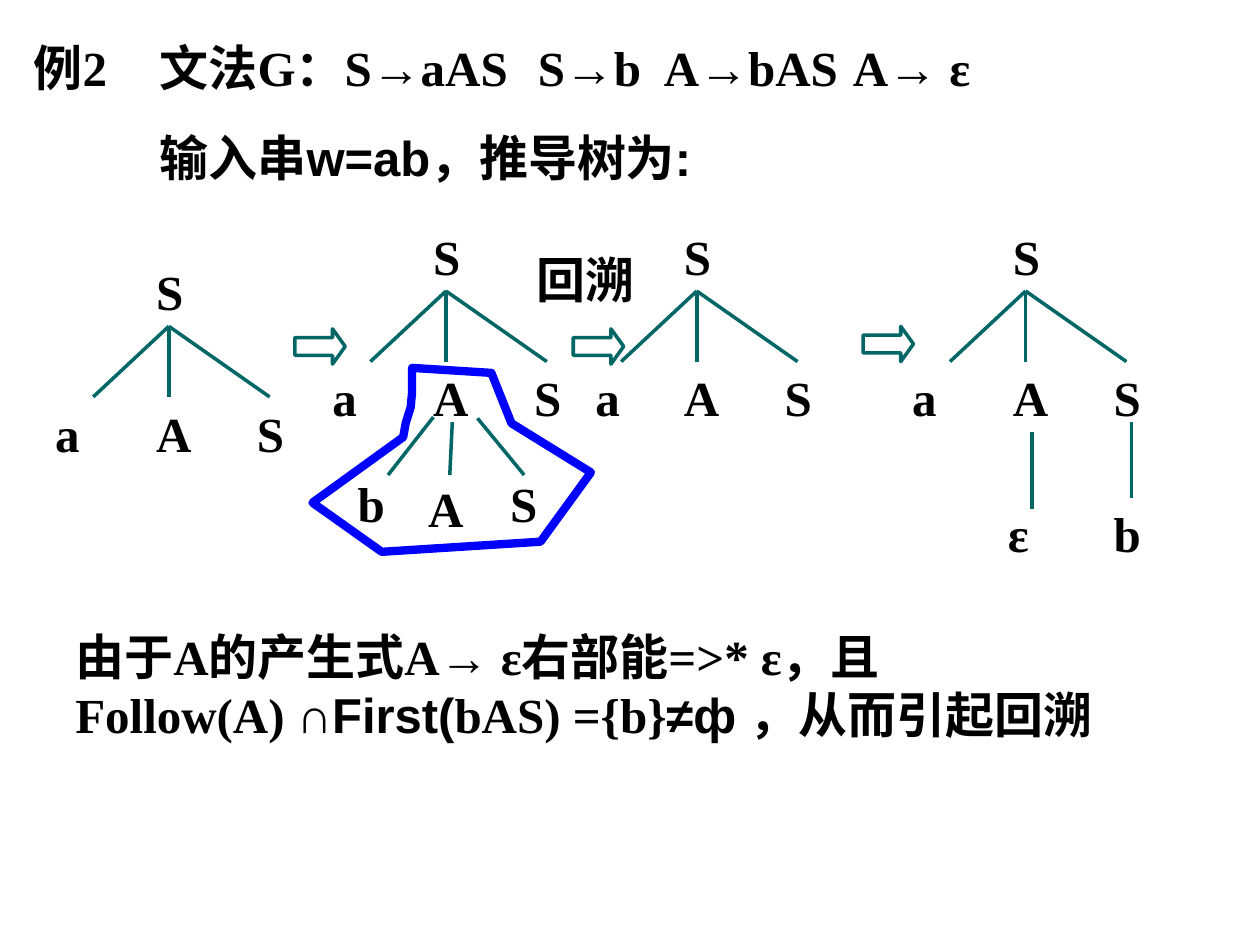
from lxml import etree
from pptx import Presentation
from pptx.dml.color import RGBColor
from pptx.enum.shapes import MSO_CONNECTOR, MSO_SHAPE
from pptx.enum.text import PP_ALIGN
from pptx.oxml.ns import qn
from pptx.util import Inches, Pt

STRAIGHT = MSO_CONNECTOR.STRAIGHT
RIGHT_ARROW = MSO_SHAPE.RIGHT_ARROW
LEFT, JUSTIFY = PP_ALIGN.LEFT, PP_ALIGN.JUSTIFY
SERIF, SANS = "Times New Roman", "Arial"
BLACK, TEAL, BLUE = "000000", "006666", "0000FF"
COL = 0.8      # distance between sibling nodes
ROW = 0.56     # height of a node row and of a branch row
NODE_W, NODE_H = 0.6, 0.84
APEX_X = 0.2   # branches start this far inside a node's box


def rgb(value):
    return RGBColor.from_string(value)


def add_tabs(p, count=8):
    """Set left tab stops one inch apart."""
    tabs = etree.SubElement(p._p.get_or_add_pPr(), qn("a:tabLst"))
    for i in range(count):
        etree.SubElement(tabs, qn("a:tab"), pos=str(Inches(i)), algn="l")


def add_text(slide, paragraphs, x, y, w, h, align=LEFT, hanging=0, gap=0):
    """Add a text box; each paragraph is a list of (text, font) runs."""
    tf = slide.shapes.add_textbox(Inches(x), Inches(y), Inches(w), Inches(h)).text_frame
    tf.word_wrap = True
    for i, runs in enumerate(paragraphs):
        p = tf.paragraphs[0] if i == 0 else tf.add_paragraph()
        p.alignment = align
        if i and gap:
            p.space_before = Pt(gap)
        if hanging:
            pPr = p._p.get_or_add_pPr()
            pPr.set("marL", str(Inches(hanging)))
            pPr.set("indent", str(-Inches(hanging)))
            add_tabs(p)
        for text, font in runs:
            r = p.add_run()
            r.text = text
            r.font.name, r.font.size, r.font.bold = font, Pt(28), True
            r.font.color.rgb = rgb(BLACK)


def add_node(slide, label, x, y, w=NODE_W):
    add_text(slide, [[(label, SERIF)]], x, y, w, NODE_H, align=JUSTIFY)


def add_branch(slide, x1, y1, x2, y2):
    line = slide.shapes.add_connector(STRAIGHT, Inches(x1), Inches(y1), Inches(x2), Inches(y2))
    line.line.color.rgb = rgb(TEAL)
    line.line.width = Pt(2)
    etree.SubElement(line._element.spPr, qn("a:effectLst"))


def add_tree(slide, x, y, leaves=("a", "A", "S")):
    """Add root S, whose box starts at x, y, with three children."""
    add_node(slide, "S", x, y, COL)
    apex, top = x + APEX_X, y + ROW
    for dx in (-0.6, 0, COL):
        add_branch(slide, apex, top, apex + dx, top + ROW)
    for i, leaf in enumerate(leaves):
        add_node(slide, leaf, x + (i - 1) * COL, top + ROW)


def outline(sp, color, width):
    sp.shadow.inherit = False
    sp.fill.background()
    sp.line.color.rgb = rgb(color)
    sp.line.width = Pt(width)


def add_step_arrow(slide, x, y):
    sp = slide.shapes.add_shape(RIGHT_ARROW, Inches(x), Inches(y), Inches(0.4), Inches(0.28))
    sp.adjustments[1] = 0.36
    outline(sp, TEAL, 2)


def add_loop(slide, points):
    start, *rest = [(Inches(x), Inches(y)) for x, y in points]
    builder = slide.shapes.build_freeform(*start)
    builder.add_line_segments(rest, close=True)
    outline(builder.convert_to_shape(), BLUE, 4.75)


def main():
    prs = Presentation()
    prs.slide_width, prs.slide_height = Inches(10), Inches(7.5)
    slide = prs.slides.add_slide(prs.slide_layouts[6])

    add_text(slide, [
        [("例2\t文法G：S→aAS\tS→b\tA→bAS\tA→ ε", SERIF)],
        [("\t\t输入串w=ab，推导树为:", SANS)],
    ], 0.17, 0.25, 9, 1.75, hanging=0.5, gap=17.5)

    add_tree(slide, 1.14, 2.03)
    add_tree(slide, 3.34, 1.75)
    add_tree(slide, 5.33, 1.75, (" a", "A", "S"))
    add_tree(slide, 7.94, 1.75)
    for x, y in ((2.34, 2.61), (4.55, 2.61), (6.85, 2.59)):
        add_step_arrow(slide, x, y)
    add_node(slide, "回溯", 4.16, 1.93, 1.39)

    lower_nodes = (("b", 2.74, 3.71), ("A", 3.3, 3.75), ("S", 3.95, 3.71),
                   ("ε", 7.9, 3.95), ("b", 8.74, 3.95))
    for label, x, y in lower_nodes:
        add_node(slide, label, x, y)
    lower_branches = ((3.44, 3.31, 3.08, 3.77), (3.59, 3.35, 3.57, 3.77),
                      (3.79, 3.32, 4.16, 3.77), (8.19, 3.43, 8.19, 4.04),
                      (8.98, 3.35, 8.98, 3.95))
    for ends in lower_branches:
        add_branch(slide, *ends)

    add_text(slide, [
        [("由于A的产生式A→ ε右部能=>* ε，且", SERIF)],
        [("Follow(A) ", SERIF), ("∩First(", SANS), ("bAS) ={b}", SERIF),
         ("≠ф ", SANS), ("，从而引起回溯", SERIF)],
    ], 0.5, 4.92, 8.75, 1.04)

    add_loop(slide, [(3.27, 2.92), (3.27, 3.12), (3.26, 3.23), (3.22, 3.36), (3.2, 3.47),
                     (2.48, 3.99), (3.03, 4.38), (4.29, 4.3), (4.69, 3.75),
                     (4.06, 3.36), (3.9, 2.96)])

    prs.save("out.pptx")


if __name__ == "__main__":
    main()
